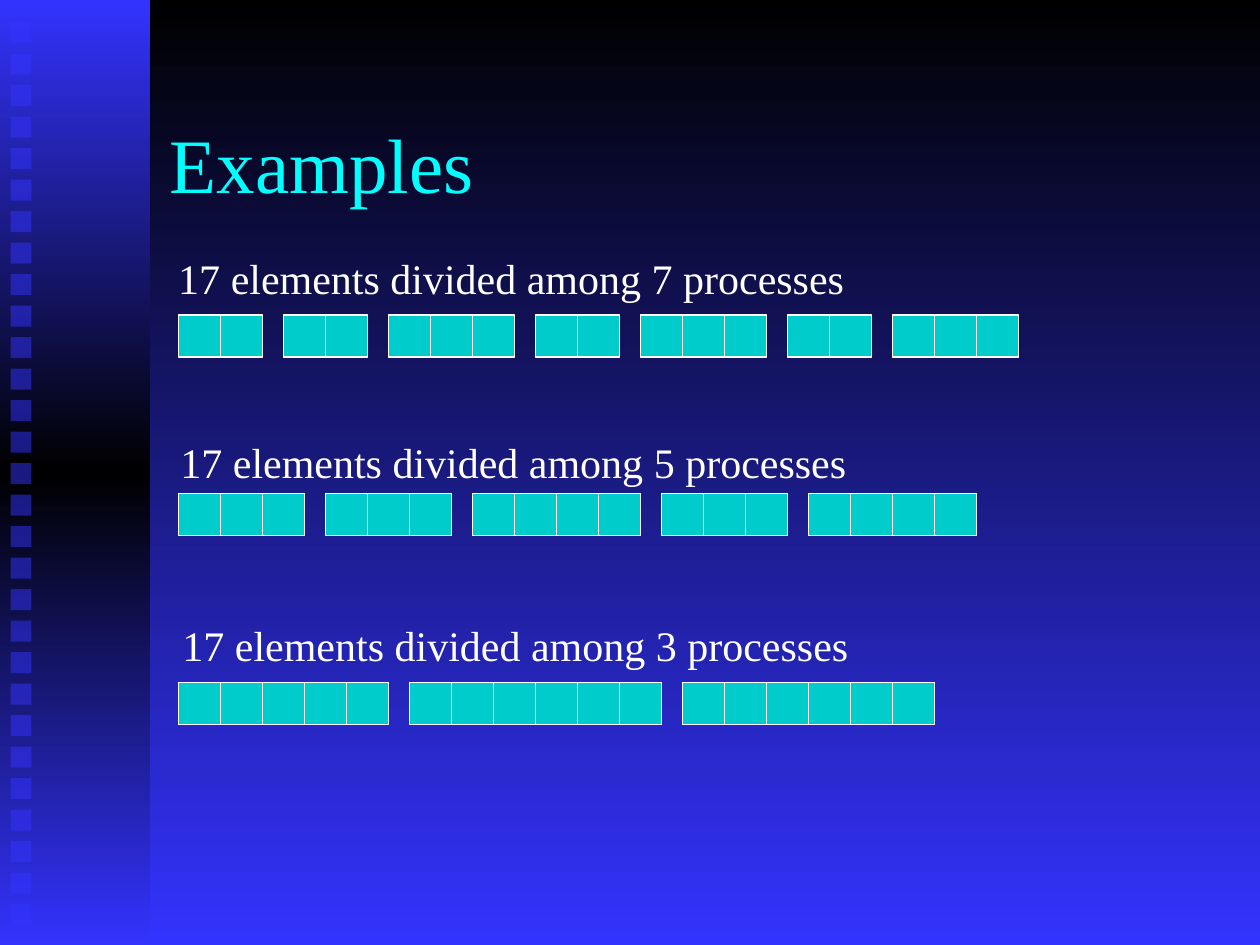
"""Build a slide showing how 17 elements are divided among processes."""
from copy import deepcopy
from dataclasses import dataclass

from lxml import etree
from pptx import Presentation
from pptx.dml.color import RGBColor
from pptx.enum.shapes import MSO_SHAPE
from pptx.enum.text import MSO_ANCHOR, MSO_AUTO_SIZE
from pptx.oxml.ns import qn
from pptx.util import Emu, Pt

RECTANGLE = MSO_SHAPE.RECTANGLE
MIDDLE, TOP = MSO_ANCHOR.MIDDLE, MSO_ANCHOR.TOP
FIT_SHAPE, NO_FIT = MSO_AUTO_SIZE.SHAPE_TO_FIT_TEXT, MSO_AUTO_SIZE.NONE
PX = 914400 // 120
BLANK = 6
ELEMENTS = 17
CELL, GAP, ROW_LEFT = 40, 20, 170


@dataclass(frozen=True)
class Theme:
    font: str = "Times New Roman"
    title_size: int = 44
    caption_size: int = 24
    line_width: float = 0.75
    dark: str = "000000"
    blue: str = "3333FF"
    title: str = "00FFFF"
    cell: str = "00CCCC"
    light: str = "FFFFFF"


def rgb(value):
    return RGBColor.from_string(value)


def write_text(frame, text, *, size, color, font, anchor=TOP, wrap=True, fit=NO_FIT):
    frame.word_wrap = wrap
    frame.auto_size = fit
    frame.vertical_anchor = anchor
    span = frame.paragraphs[0].add_run()
    span.text = text
    span.font.name = font
    span.font.size = Pt(size)
    span.font.color.rgb = rgb(color)


class Painter:
    def __init__(self, page, theme):
        self.page = page
        self.theme = theme

    def gradient(self, owner, fill, colors):
        fill.gradient()
        fill.gradient_angle = 270
        stops = owner.xpath(".//a:gsLst")[0]
        for _ in colors[2:]:
            stops.append(deepcopy(stops[-1]))
        for index, (stop, color) in enumerate(zip(fill.gradient_stops, colors)):
            stop.position = index / (len(colors) - 1)
            stop.color.rgb = rgb(color)

    def background(self):
        colors = [self.theme.dark, self.theme.blue]
        self.gradient(self.page.element, self.page.background.fill, colors)

    def rectangle(self, left, top, width, height):
        frame = [Emu(length * PX) for length in (left, top, width, height)]
        shape = self.page.shapes.add_shape(RECTANGLE, *frame)
        shape.shadow.inherit = False
        shape.line.fill.background()
        return shape

    def band(self, width, height):
        shape = self.rectangle(0, 0, width, height)
        colors = [self.theme.blue, self.theme.dark, self.theme.blue]
        self.gradient(shape.element, shape.fill, colors)

    def marker(self, left, top, size):
        shape = self.rectangle(left, top, size, size)
        shape.fill.solid()
        shape.fill.fore_color.rgb = rgb(self.theme.blue)
        color = shape.element.spPr.find(qn("a:solidFill"))[0]
        etree.SubElement(color, qn("a:alpha")).set("val", "50000")

    def cell(self, left, top):
        shape = self.rectangle(left, top, CELL, CELL)
        shape.fill.solid()
        shape.fill.fore_color.rgb = rgb(self.theme.cell)
        shape.line.color.rgb = rgb(self.theme.light)
        shape.line.width = Pt(self.theme.line_width)

    def text(self, left, top, width, height, text, **style):
        frame = [Emu(length * PX) for length in (left, top, width, height)]
        box = self.page.shapes.add_textbox(*frame)
        write_text(box.text_frame, text, font=self.theme.font, **style)

    def title(self, text):
        self.text(150, 80, 1020, 150, text, size=self.theme.title_size,
                  color=self.theme.title, anchor=MIDDLE)

    def caption(self, left, top, text):
        self.text(left, top, 658, 60, text, size=self.theme.caption_size,
                  color=self.theme.light, wrap=False, fit=FIT_SHAPE)

    def division(self, top, processes):
        left = ROW_LEFT
        for rank in range(processes):
            first = rank * ELEMENTS // processes
            last = (rank + 1) * ELEMENTS // processes
            for _ in range(first, last):
                self.cell(left, top)
                left += CELL
            left += GAP


def main():
    deck = Presentation()
    deck.slide_width, deck.slide_height = Emu(1200 * PX), Emu(900 * PX)
    page = deck.slides.add_slide(deck.slide_layouts[BLANK])
    painter = Painter(page, Theme())
    painter.background()
    painter.band(143, 900)
    for index in range(29):
        painter.marker(10, 21 + 30 * index, 20)
    painter.title("Examples")
    rows = [(7, 158, 235, 300), (5, 160, 410, 470), (3, 162, 584, 650)]
    for processes, left, caption_top, cells_top in rows:
        painter.caption(left, caption_top,
                        f"{ELEMENTS} elements divided among {processes} processes")
        painter.division(cells_top, processes)
    deck.save("out.pptx")


if __name__ == "__main__":
    main()
